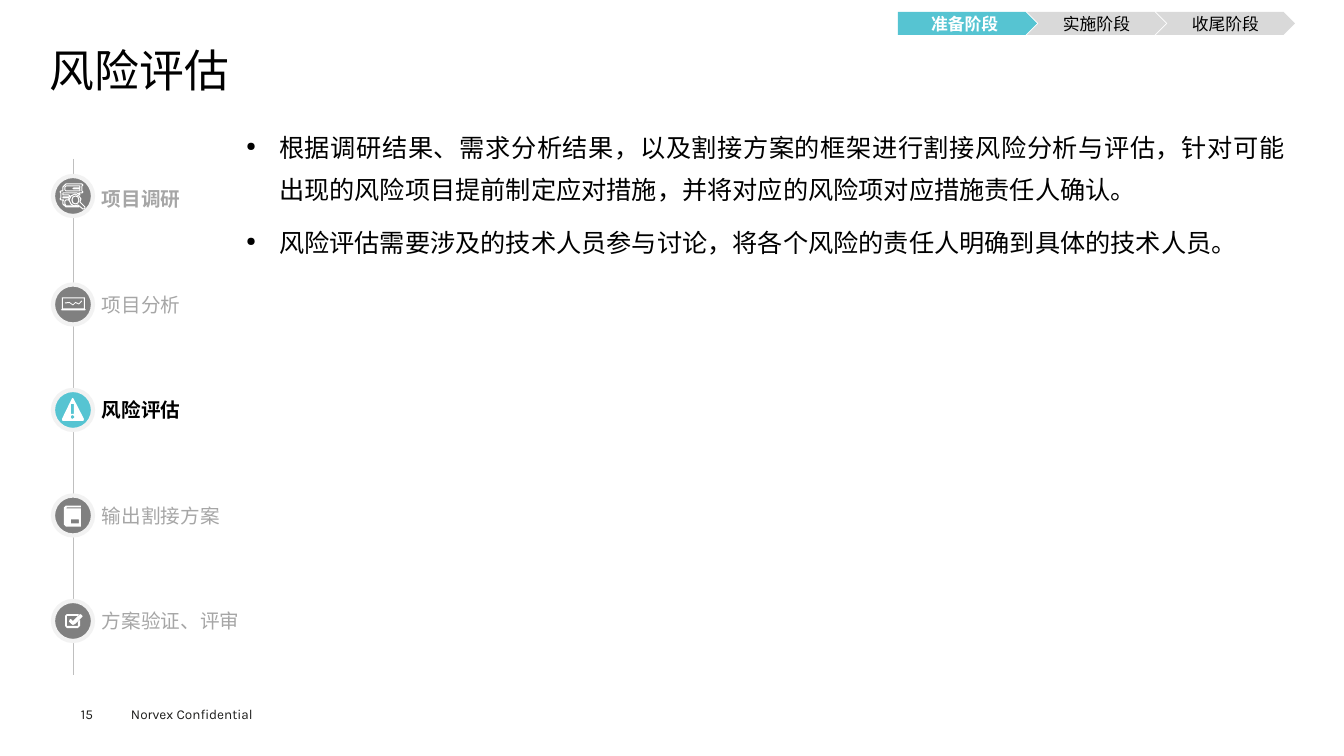
from lxml.etree import SubElement
from pptx import Presentation
from pptx.dml.color import RGBColor
from pptx.enum.shapes import MSO_CONNECTOR, MSO_SHAPE as Preset
from pptx.enum.text import MSO_ANCHOR as Anchor, PP_ALIGN as Align
from pptx.oxml.ns import qn
from pptx.util import Pt

PX = 9144000 / 1008
SLIDE_SIZE = (1344, 756)
FONT = "Karla"

BLACK = RGBColor(0x00, 0x00, 0x00)
WHITE = RGBColor(0xFF, 0xFF, 0xFF)
INK = RGBColor(0x1D, 0x1D, 0x1B)
TEAL = RGBColor(0x56, 0xC4, 0xD2)
GREY = RGBColor(0x80, 0x80, 0x80)
LABEL_GREY = RGBColor(0xA6, 0xA6, 0xA6)
LINE_GREY = RGBColor(0xBF, 0xBF, 0xBF)
PHASE_GREY = RGBColor(0xD9, 0xD9, 0xD9)
RING_GREY = RGBColor(0xF2, 0xF2, 0xF2)

TITLE = "风险评估"
BULLETS = [
    "根据调研结果、需求分析结果，以及割接方案的框架进行割接风险分析与评估，"
    "针对可能出现的风险项目提前制定应对措施，并将对应的风险项对应措施责任人确认。",
    "风险评估需要涉及的技术人员参与讨论，将各个风险的责任人明确到具体的技术人员。",
]
FOOTER = "Norvex Confidential"
PAGE_NUMBER = "15"

# Preset, fill, text format
PHASES = [
    ("准备阶段", Preset.PENTAGON, TEAL, {"color": WHITE, "bold": True}),
    ("实施阶段", Preset.CHEVRON, PHASE_GREY, {"color": BLACK}),
    ("收尾阶段", Preset.CHEVRON, PHASE_GREY, {"color": BLACK}),
]

# Icon outlines in tenths of a px, measured from the centre of the circle
SURVEY_ICON = [
    [(-70, -120), (90, -120), (100, -110), (90, -100), (90, -50), (100, -40), (90, -30),
     (60, -30), (70, -10), (40, -30), (-100, -30), (-100, -10), (-40, -10), (-30, 0),
     (-40, 10), (-100, 10), (-100, 20), (-40, 20), (-40, 40), (-70, 40), (-80, 50),
     (-80, 80), (-70, 100), (50, 100), (60, 110), (-70, 110), (-100, 80), (-100, 50),
     (-95, 40), (-120, 40), (-130, 30), (-120, 20), (-120, -30), (-130, -40),
     (-120, -50), (-100, -50), (-100, -90)],
    [(-70, -100), (-80, -90), (-80, -60), (-70, -50), (70, -50), (70, -70), (10, -70),
     (0, -75), (10, -80), (70, -80), (70, -100)],
    [(20, -20), (60, 0), (80, 30), (70, 60), (120, 110), (120, 130), (100, 130),
     (50, 90), (10, 100), (-20, 80), (-40, 40), (-20, 0)],
    [(25, 0), (0, 10), (-10, 40), (0, 70), (25, 80), (50, 70), (60, 40), (50, 10)],
]
MONITOR_ICON = [
    [(-120, 50), (130, 50), (120, 60), (-110, 60)],
    [(-110, -70), (120, -70), (120, 50), (-110, 50)],
    [(-100, -60), (110, -60), (110, 40), (-100, 40)],
    [(-80, -20), (-35, -25), (0, 0), (25, -25), (60, -10), (85, -40),
     (90, -30), (60, 0), (25, -15), (0, 10), (-35, -15), (-80, -10)],
]
WARNING_ICON = [
    [(-5, -120), (5, -115), (110, 90), (105, 110), (-105, 110), (-110, 90), (-10, -115)],
    [(-20, -60), (10, -60), (10, 40), (-20, 40)],
    [(-20, 60), (-5, 50), (10, 60), (15, 70), (10, 80), (-5, 90), (-20, 80)],
]
BOOK_ICON = [
    [(80, -100), (80, -80), (-60, -80), (-70, -75), (-60, -70), (80, -70), (80, 110),
     (-70, 110), (-90, 90), (-90, -80), (-70, -100)],
    [(-20, 40), (60, 40), (60, 80), (-20, 80)],
]
CHECK_ICON = [
    [(70, -70), (90, -60), (95, -45), (20, 30), (0, 40), (-15, 30), (-40, 5),
     (-30, -20), (-20, -20), (0, 0)],
    [(-60, -70), (60, -70), (45, -50), (-60, -50), (-60, 50), (50, 50), (50, 10),
     (70, -10), (70, 50), (50, 70), (-60, 70), (-80, 50), (-80, -50)],
]

# Label, text format, circle fill, icon, icon drawn as outline, circle shift in px
STEPS = [
    ("项目调研", {"color": LABEL_GREY, "bold": True}, GREY, SURVEY_ICON, True, -3),
    ("项目分析", {"color": LABEL_GREY}, GREY, MONITOR_ICON, False, 0),
    ("风险评估", {"color": BLACK, "bold": True}, TEAL, WARNING_ICON, False, 0),
    ("输出割接方案", {"color": LABEL_GREY}, GREY, BOOK_ICON, False, 0),
    ("方案验证、评审", {"color": LABEL_GREY}, GREY, CHECK_ICON, False, 0),
]
AXIS_X, AXIS_TOP, AXIS_BOTTOM = 73, 159, 675
FIRST_STEP_Y, LAST_STEP_Y = 199, 621
CIRCLE = 40
PHASE_LEFT, PHASE_TOP, PHASE_WIDTH, PHASE_HEIGHT, PHASE_STEP = 898, 12, 139, 23, 129


def px(*lengths):
    return [round(length * PX) for length in lengths]


def write(shape, texts, size, color=BLACK, bold=False, insets=(0, 0), wrap=True,
          anchor=Anchor.TOP, align=Align.LEFT, bullet=False, **spacing):
    frame = shape.text_frame
    side, top = px(*insets)
    settings = {"margin_left": side, "margin_right": side, "margin_top": top,
                "margin_bottom": top, "word_wrap": wrap, "vertical_anchor": anchor}
    for name, value in settings.items():
        setattr(frame, name, value)
    for index, text in enumerate(texts):
        paragraph = frame.add_paragraph() if index else frame.paragraphs[0]
        if bullet:
            add_bullet(paragraph)
        paragraph.alignment = align
        for name, value in spacing.items():
            if index or name != "space_before":
                setattr(paragraph, name, value)
        run = paragraph.add_run()
        run.text = text
        for name, value in {"size": Pt(size), "bold": bold, "name": FONT}.items():
            setattr(run.font, name, value)
        run.font.color.rgb = color
        SubElement(run.font._element, qn("a:ea")).set("typeface", FONT)


def add_bullet(paragraph):
    properties = paragraph._p.get_or_add_pPr()
    indent, = px(33)
    properties.set("marL", str(indent))
    properties.set("indent", str(-indent))
    SubElement(properties, qn("a:buSzPct")).set("val", "50000")
    SubElement(properties, qn("a:buChar")).set("char", "●")


def add_text(slide, box, texts, size, **options):
    write(slide.shapes.add_textbox(*px(*box)), texts, size, **options)


def paint(shape, fill=None, line=None, width=0):
    shape.shadow.inherit = False
    for part, color in ((shape.fill, fill), (shape.line.fill, line)):
        if color is None:
            part.background()
        else:
            part.solid()
            part.fore_color.rgb = color
    if line is not None:
        shape.line.width = Pt(width)


def add_icon(slide, contours, center_y, outlined):
    builder = slide.shapes.build_freeform(*contours[0][0], scale=PX / 10)
    for index, contour in enumerate(contours):
        if index:
            builder.move_to(*contour[0])
        builder.add_line_segments(contour[1:], close=True)
    icon = builder.convert_to_shape(*px(AXIS_X, center_y))
    paint(icon, *((None, WHITE, 0.75) if outlined else (WHITE,)))


def add_timeline(slide):
    axis = slide.shapes.add_connector(
        MSO_CONNECTOR.STRAIGHT, *px(AXIS_X, AXIS_TOP, AXIS_X, AXIS_BOTTOM))
    axis.line.color.rgb = LINE_GREY
    axis.line.width = Pt(0.25)
    SubElement(axis._element.spPr, qn("a:effectLst"))
    pitch = (LAST_STEP_Y - FIRST_STEP_Y) / (len(STEPS) - 1)
    for index, (label, style, fill, icon, outlined, shift) in enumerate(STEPS):
        label_y = FIRST_STEP_Y + index * pitch
        add_text(slide, (92, label_y - 24, 174, 48), [label], 14, insets=(10, 5),
                 wrap=False, anchor=Anchor.MIDDLE, **style)
        center_y = label_y + shift
        circle = slide.shapes.add_shape(Preset.OVAL, *px(
            AXIS_X - CIRCLE / 2, center_y - CIRCLE / 2, CIRCLE, CIRCLE))
        paint(circle, fill, RING_GREY, 3)
        add_icon(slide, icon, center_y, outlined)


def add_phases(slide):
    for index, (label, preset, fill, style) in enumerate(PHASES):
        phase = slide.shapes.add_shape(preset, *px(
            PHASE_LEFT + index * PHASE_STEP, PHASE_TOP, PHASE_WIDTH, PHASE_HEIGHT))
        paint(phase, fill)
        write(phase, [label], 12, anchor=Anchor.MIDDLE, align=Align.CENTER, **style)


def main():
    presentation = Presentation()
    presentation.slide_width, presentation.slide_height = px(*SLIDE_SIZE)
    slide = presentation.slides.add_slide(presentation.slide_layouts[6])
    add_text(slide, (121, 701, 161, 27), [FOOTER], 9.7, color=INK, insets=(10, 5))
    add_text(slide, (81, 706, 55, 16), [PAGE_NUMBER], 9.7, color=INK)
    add_text(slide, (50, 49, 1245, 53), [TITLE], 32, line_spacing=0.9)
    add_text(slide, (237, 116, 1057, 538), BULLETS, 18, insets=(9, 4), bullet=True,
             align=Align.JUSTIFY, line_spacing=1.4, space_before=Pt(7.9))
    add_timeline(slide)
    add_phases(slide)
    presentation.save("out.pptx")


if __name__ == "__main__":
    main()
